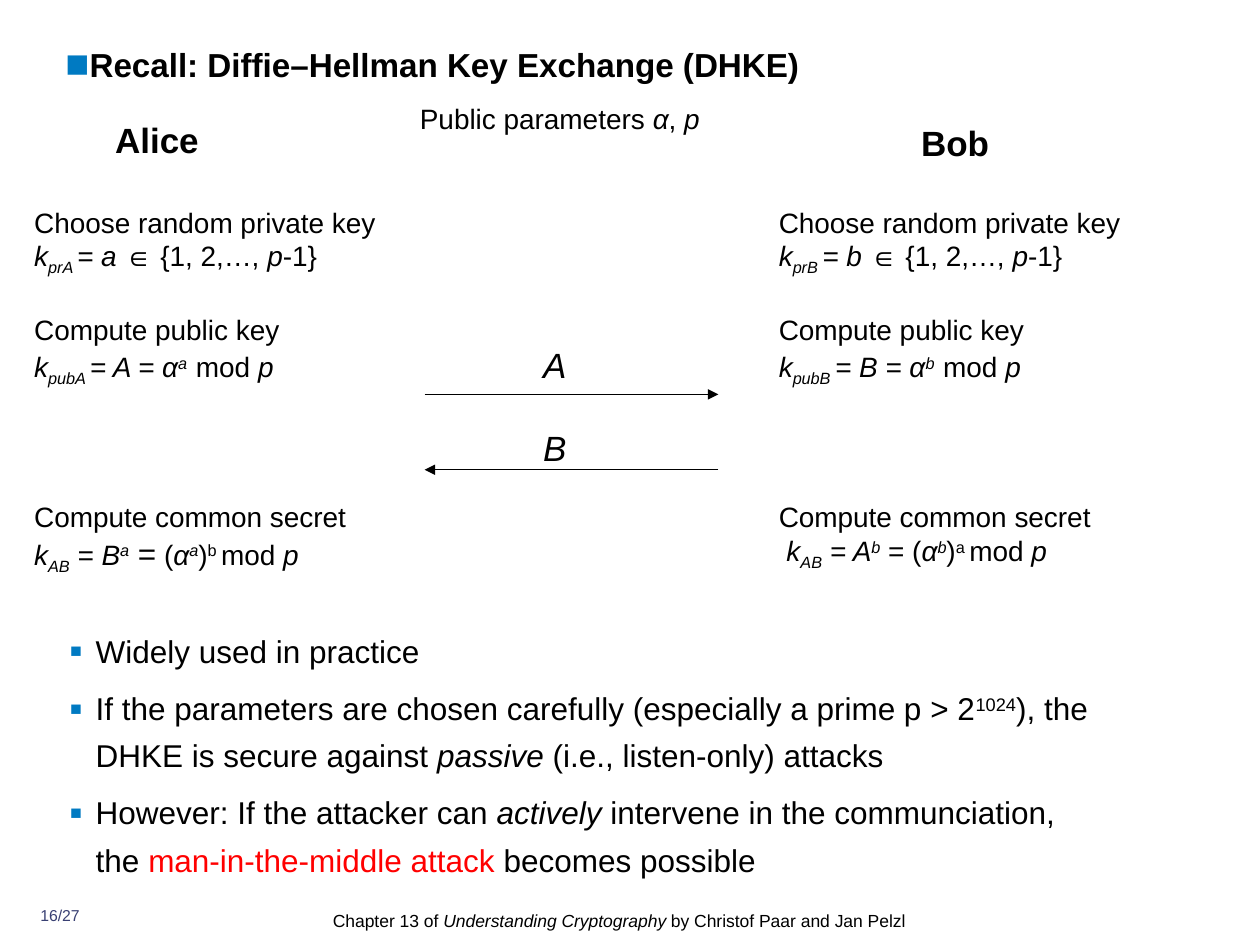
from lxml import etree
from pptx import Presentation
from pptx.dml.color import RGBColor
from pptx.enum.shapes import MSO_CONNECTOR
from pptx.enum.text import MSO_ANCHOR, MSO_AUTO_SIZE, PP_ALIGN
from pptx.oxml.ns import qn
from pptx.util import Cm, Pt

LEFT, MID = PP_ALIGN.LEFT, PP_ALIGN.CENTER
TOP, FIXED = MSO_ANCHOR.TOP, MSO_AUTO_SIZE.NONE
STRAIGHT = MSO_CONNECTOR.STRAIGHT
COLORS = {"text": "000000", "mark": "007AC2", "alert": "FF0000", "page": "394073"}
FONT = "Arial"


class Deck:
    """Holds the style and the current slide.

    Text is a list of (words, marks) pairs. Marks: i italic, b bold,
    _ subscript, ^ superscript, + larger, ! alert colour.
    """

    def __init__(self):
        self.prs = Presentation()
        self.prs.slide_width, self.prs.slide_height = Cm(25.4), Cm(19.05)
        self.slide = self.prs.slides.add_slide(self.prs.slide_layouts[1])

    def place(self, shape, x, y, w, h):
        shape.left, shape.top, shape.width, shape.height = Cm(x), Cm(y), Cm(w), Cm(h)
        frame = shape.text_frame
        frame.margin_left = frame.margin_right = 0
        frame.margin_top = frame.margin_bottom = 0
        frame.word_wrap, frame.auto_size = True, FIXED
        frame.vertical_anchor = TOP
        return frame

    def fill(self, para, parts, size, color="text", align=LEFT, space=0, lead=1.0):
        para.alignment, para.line_spacing = align, lead
        para.space_before = Pt(space)
        for words, marks in parts:
            for n, line in enumerate(words.split("\n")):
                if n:
                    para.add_line_break()
                    gap = para._p.findall(qn("a:br"))[-1]
                    etree.SubElement(gap, qn("a:rPr"), sz=str(size * 100))
                if line:
                    run = para.add_run()
                    run.text = line
                    self.style(run.font, marks, size, color)

    def style(self, font, marks, size, color):
        font.name, font.size = FONT, Pt(size + 2 if "+" in marks else size)
        font.bold, font.italic = "b" in marks, "i" in marks
        tone = COLORS["alert" if "!" in marks else color]
        font.color.rgb = RGBColor.from_string(tone)
        for mark, shift in (("_", "-25000"), ("^", "30000")):
            if mark in marks:
                font._element.set("baseline", shift)

    def bullet(self, para, char, hang=0):
        props = para._p.get_or_add_pPr()
        props.set("marL", str(Cm(hang)))
        props.set("indent", str(-Cm(hang)))
        tint = etree.SubElement(props, qn("a:buClr"))
        etree.SubElement(tint, qn("a:srgbClr"), val=COLORS["mark"])
        etree.SubElement(props, qn("a:buSzPct"), val="120000")
        etree.SubElement(props, qn("a:buFont"), typeface=FONT)
        etree.SubElement(props, qn("a:buChar"), char=char)

    def title(self, box, text):
        para = self.place(self.slide.shapes.title, *box).paragraphs[0]
        self.fill(para, [(text, "b")], 19, space=4.8)
        self.bullet(para, "■")

    def points(self, box, items):
        frame = self.place(self.slide.placeholders[1], *box)
        for n, parts in enumerate(items):
            para = frame.add_paragraph() if n else frame.paragraphs[0]
            self.fill(para, parts, 18, space=5.6, lead=1.25)
            self.bullet(para, "▪", 0.53)

    def text(self, box, parts, size, **look):
        shape = self.slide.shapes.add_textbox(0, 0, 0, 0)
        self.fill(self.place(shape, *box).paragraphs[0], parts, size, **look)

    def arrow(self, x1, x2, y):
        line = self.slide.shapes.add_connector(STRAIGHT, Cm(x1), Cm(y), Cm(x2), Cm(y))
        line.line.color.rgb = RGBColor.from_string(COLORS["text"])
        line.line.width = Pt(0.75)
        etree.SubElement(line.line._get_or_add_ln(), qn("a:tailEnd"), type="triangle")
        etree.SubElement(line._element.spPr, qn("a:effectLst"))


def main():
    deck = Deck()
    deck.title((1.32, 0.89, 22.91, 1.68), "Recall: Diffie–Hellman Key Exchange (DHKE)")

    # Names and public parameters
    for name, box in (("Alice", (1.4, 2.49, 3.53, 1.02)),
                      ("Bob", (13.11, 2.54, 12.29, 0.76))):
        deck.text(box, [(name, "b")], 20, align=MID, space=6.2, lead=0.9)
    deck.text((5.41, 2.13, 11.91, 0.61),
              [("Public parameters ", ""), ("α", "i"), (", ", ""), ("p ", "i")],
              16, align=MID, space=5, lead=0.9)

    # Steps of each party: left edge, width of key box, letters, start, equals sign
    sides = (
        (0.69, 9.02, "A", "B", "", [(" =", "+"), (" (", "")]),
        (15.7, 8.41, "B", "A", " ", [(" = (", "")]),
    )
    for x, wide, own, peer, lead, equal in sides:
        low, other = own.lower(), peer.lower()
        choose = [("Choose random private key\n", ""), ("k", "i"), (f"pr{own} ", "i_"),
                  (f"= {low} ", "i"), ("∈ {1, 2,…, ", ""), ("p", "i"), ("-1}", "")]
        public = [("Compute public key\n", ""), ("k", "i"), (f"pub{own} ", "i_"),
                  (f"= {own} = α", "i"), (low, "i^"), (" ", "+"), ("mod ", ""),
                  ("p", "i")]
        secret = [("Compute common secret\n", ""), (f"{lead}k", "i"), ("AB", "i_"),
                  (f" = {peer}", "i"), (low, "i^"), *equal, ("α", "i"), (low, "i^"),
                  (")", ""), (f"{other} ", "^"), ("mod ", ""), ("p", "i")]
        for y, w, parts in ((4.14, 9.2, choose), (6.3, wide, public),
                            (10.08, 9, secret)):
            deck.text((x, y, w, 1.5), parts, 16, space=10)

    # Exchange of public keys
    for key, y, x1, x2, base in (("A", 6.93, 8.56, 14.48, 7.95),
                                 ("B", 8.59, 14.48, 8.56, 9.47)):
        deck.text((10.95, y, 0.99, 0.84), [(key, "i")], 20, space=12.5)
        deck.arrow(x1, x2, base)

    # Remarks
    deck.points((1.4, 12.55, 20.6, 5.16), [
        [("Widely used in practice", "")],
        [("If the parameters are chosen carefully (especially a prime p > 2", ""),
         ("1024", "^"), ("), the DHKE is secure against ", ""), ("passive", "i"),
         (" (i.e., listen-only) attacks", "")],
        [("However: If the attacker can ", ""), ("actively", "i"),
         (" intervene in the communciation,\nthe ", ""),
         ("man-in-the-middle attack ", "!"), ("becomes possible", "")],
    ])

    # Footer
    deck.text((0.51, 18.26, 1.4, 0.61), [("16/27", "")], 9, color="page", align=MID)
    deck.text((6.71, 18.26, 12.01, 0.71),
              [("Chapter 13 of ", ""), ("Understanding Cryptography", "i"),
               (" by Christof Paar and Jan Pelzl", "")], 10, lead=1.2)

    deck.prs.save("out.pptx")


if __name__ == "__main__":
    main()
